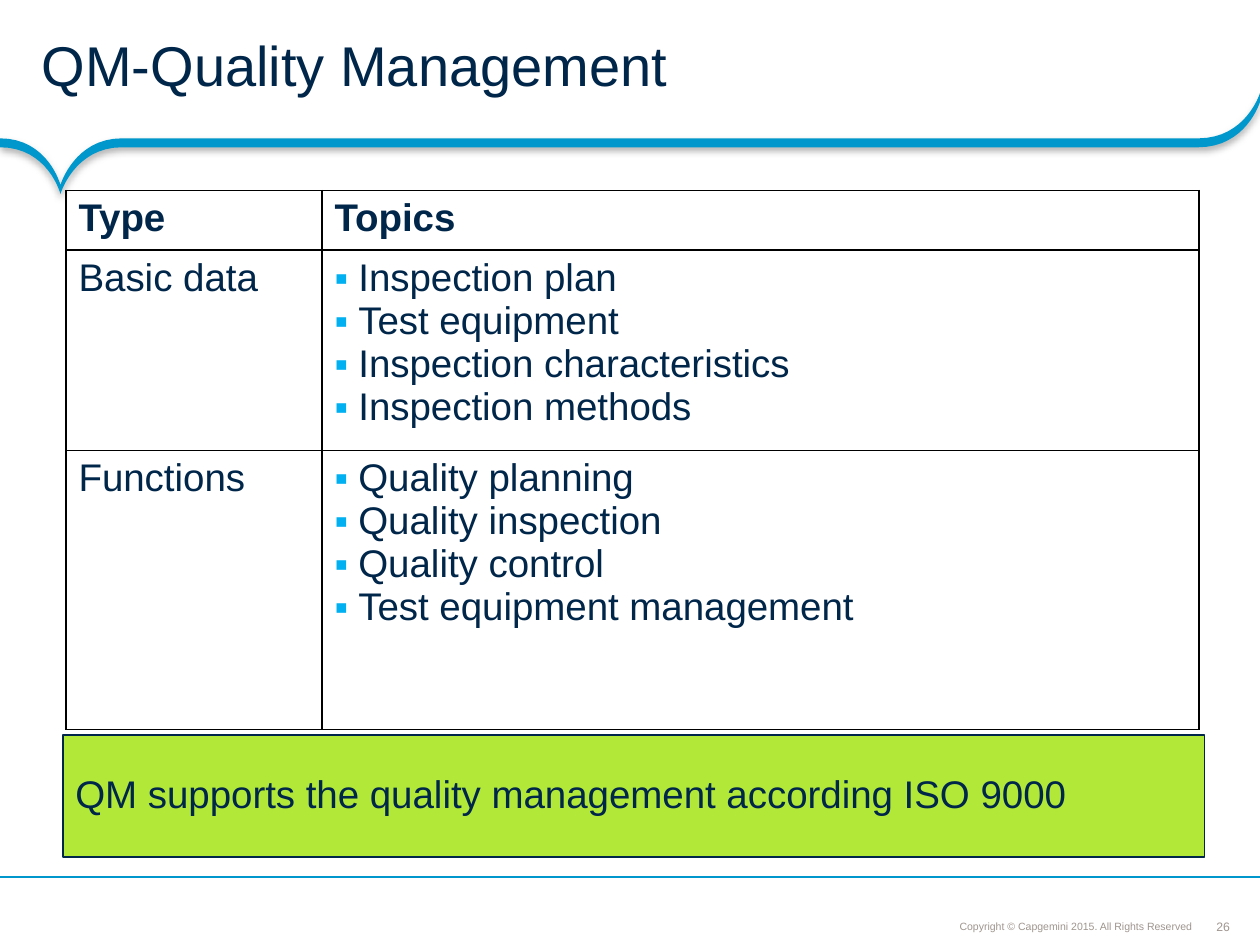
from lxml import etree
from pptx import Presentation
from pptx.dml.color import RGBColor
from pptx.enum.shapes import MSO_CONNECTOR, MSO_SHAPE
from pptx.enum.text import MSO_ANCHOR, PP_ALIGN
from pptx.oxml.ns import qn
from pptx.util import Cm, Pt

RECT = MSO_SHAPE.RECTANGLE
LINE = MSO_CONNECTOR.STRAIGHT
MIDDLE, BOTTOM = MSO_ANCHOR.MIDDLE, MSO_ANCHOR.BOTTOM
LEFT, CENTER, RIGHT = PP_ALIGN.LEFT, PP_ALIGN.CENTER, PP_ALIGN.RIGHT

COLORS = {
    "navy": "00264A",
    "blue": "0098CC",
    "cyan": "00B0F0",
    "lime": "B2E838",
    "gray": "9F958F",
    "black": "000000",
}
ROWS = [
    ("Type", ["Topics"]),
    ("Basic data", ["Inspection plan", "Test equipment",
                    "Inspection characteristics", "Inspection methods"]),
    ("Functions", ["Quality planning", "Quality inspection",
                   "Quality control", "Test equipment management"]),
]
WIDTHS = [5.16, 17.68]
HEIGHTS = [1.2, 4.04, 5.62]
EDGE = [
    [(0, 2.79), (0.97, 2.79), (1.22, 3.73), (1.22, 3.73)],
    [(1.22, 3.73), (1.22, 3.73), (1.5, 2.79), (2.46, 2.79)],
    [(24.16, 2.79), (25.12, 2.79), (25.4, 1.88), (25.4, 1.88)],
]
THICK = 0.18
STEPS = 16


def color(name):
    return RGBColor.from_string(COLORS[name])


def add_xml(parent, tag, **attrs):
    node = etree.SubElement(parent, qn(tag))
    for key, value in attrs.items():
        node.set(key, str(value))
    return node


def style(para, size, tint="navy", bold=False, align=LEFT, space=None):
    para.alignment = align
    if space:
        para.line_spacing = space
    font = para.font
    font.name, font.size, font.bold = "Arial", Pt(size), bold
    font.color.rgb = color(tint)


def fill_frame(frame, text, pads, anchor, size, wrap=True, **look):
    frame.word_wrap = wrap
    frame.vertical_anchor = anchor
    (frame.margin_left, frame.margin_top,
     frame.margin_right, frame.margin_bottom) = [Cm(pad) for pad in pads]
    para = frame.paragraphs[0]
    para.text = text
    style(para, size, **look)


def add_text(slide, text, place, pads, anchor, size, **look):
    box = slide.shapes.add_textbox(*[Cm(value) for value in place])
    fill_frame(box.text_frame, text, pads, anchor, size, **look)


def curve(knots):
    points = []
    for step in range(STEPS + 1):
        t = step / STEPS
        parts = [(1 - t) ** 3, 3 * t * (1 - t) ** 2, 3 * t * t * (1 - t), t ** 3]
        points.append(tuple(sum(part * knot[axis] for part, knot in zip(parts, knots))
                            for axis in (0, 1)))
    return points


def add_wave(slide):
    top = [point for knots in EDGE for point in curve(knots)]
    base = [(x, y + THICK) for x, y in reversed(top)]
    points = [(Cm(x), Cm(y)) for x, y in top + base]
    pen = slide.shapes.build_freeform(*points[0])
    pen.add_line_segments(points[1:], close=True)
    wave = pen.convert_to_shape()
    wave.fill.solid()
    wave.fill.fore_color.rgb = color("blue")
    wave.line.fill.background()
    effects = add_xml(wave.element.spPr, "a:effectLst")
    shadow = add_xml(effects, "a:outerShdw", blurRad=Pt(4), dist=Pt(2),
                     dir=90 * 60000, algn="t", rotWithShape=0)
    tint = add_xml(shadow, "a:srgbClr", val=COLORS["black"])
    add_xml(tint, "a:alpha", val=31000)


def add_rule(slide, y):
    rule = slide.shapes.add_connector(LINE, Cm(0), Cm(y), Cm(25.4), Cm(y))
    rule.line.color.rgb = color("blue")
    rule.line.width = Pt(0.75)
    add_xml(rule.element.spPr, "a:effectLst")


def add_bullet(para):
    props = para._p.get_or_add_pPr()
    props.set("marL", str(Cm(0.48)))
    props.set("indent", str(-Cm(0.48)))
    add_xml(add_xml(props, "a:buClr"), "a:srgbClr", val=COLORS["cyan"])
    add_xml(props, "a:buFont", typeface="Arial")
    add_xml(props, "a:buChar", char="▪")


def fill_cell(cell, lines, bold=False):
    props = cell._tc.get_or_add_tcPr()
    for side in "LRTB":
        edge = add_xml(props, "a:ln" + side, w=Pt(0.75))
        add_xml(add_xml(edge, "a:solidFill"), "a:srgbClr", val=COLORS["black"])
    cell.fill.background()
    cell.text = "\n".join(lines)
    for para in cell.text_frame.paragraphs:
        if len(lines) > 1:
            add_bullet(para)
        style(para, 22, bold=bold)


def add_grid(slide):
    frame = slide.shapes.add_table(len(ROWS), len(WIDTHS), Cm(1.33), Cm(3.84),
                                   Cm(sum(WIDTHS)), Cm(sum(HEIGHTS)))
    table = frame.table
    table.first_row = table.horz_banding = False
    for col, width in zip(table.columns, WIDTHS):
        col.width = Cm(width)
    for index, (kind, topics) in enumerate(ROWS):
        table.rows[index].height = Cm(HEIGHTS[index])
        fill_cell(table.cell(index, 0), [kind], index == 0)
        fill_cell(table.cell(index, 1), topics, index == 0)


def add_banner(slide, text):
    box = slide.shapes.add_shape(RECT, Cm(1.27), Cm(14.82), Cm(23.01), Cm(2.46))
    box.shadow.inherit = False
    box.fill.solid()
    box.fill.fore_color.rgb = color("lime")
    box.line.color.rgb = color("navy")
    box.line.width = Pt(0.75)
    fill_frame(box.text_frame, text, (0.25, 0.13, 0.25, 0.13), MIDDLE, 22, space=0.9)


def main():
    deck = Presentation()
    deck.slide_width, deck.slide_height = Cm(25.4), Cm(19.05)
    slide = deck.slides.add_slide(deck.slide_layouts[6])
    add_text(slide, "26", (24.51, 18.52, 0.3, 0.3), (0, 0, 0, 0), MIDDLE, 7,
             wrap=False, tint="gray", align=CENTER)
    add_wave(slide)
    add_text(slide, "Copyright © Capgemini 2015. All Rights Reserved",
             (17.3, 18.39, 6.83, 0.51), (0.1, 0.1, 0.1, 0.1), BOTTOM, 6,
             tint="gray", align=RIGHT, space=0.9)
    add_rule(slide, 17.68)
    add_text(slide, "QM-Quality Management", (0, 0, 25.4, 2.79),
             (0.84, 0.1, 0.46, 0.1), MIDDLE, 32, space=0.85)
    add_grid(slide)
    add_banner(slide, "QM supports the quality management according ISO 9000")
    deck.save("out.pptx")


if __name__ == "__main__":
    main()
